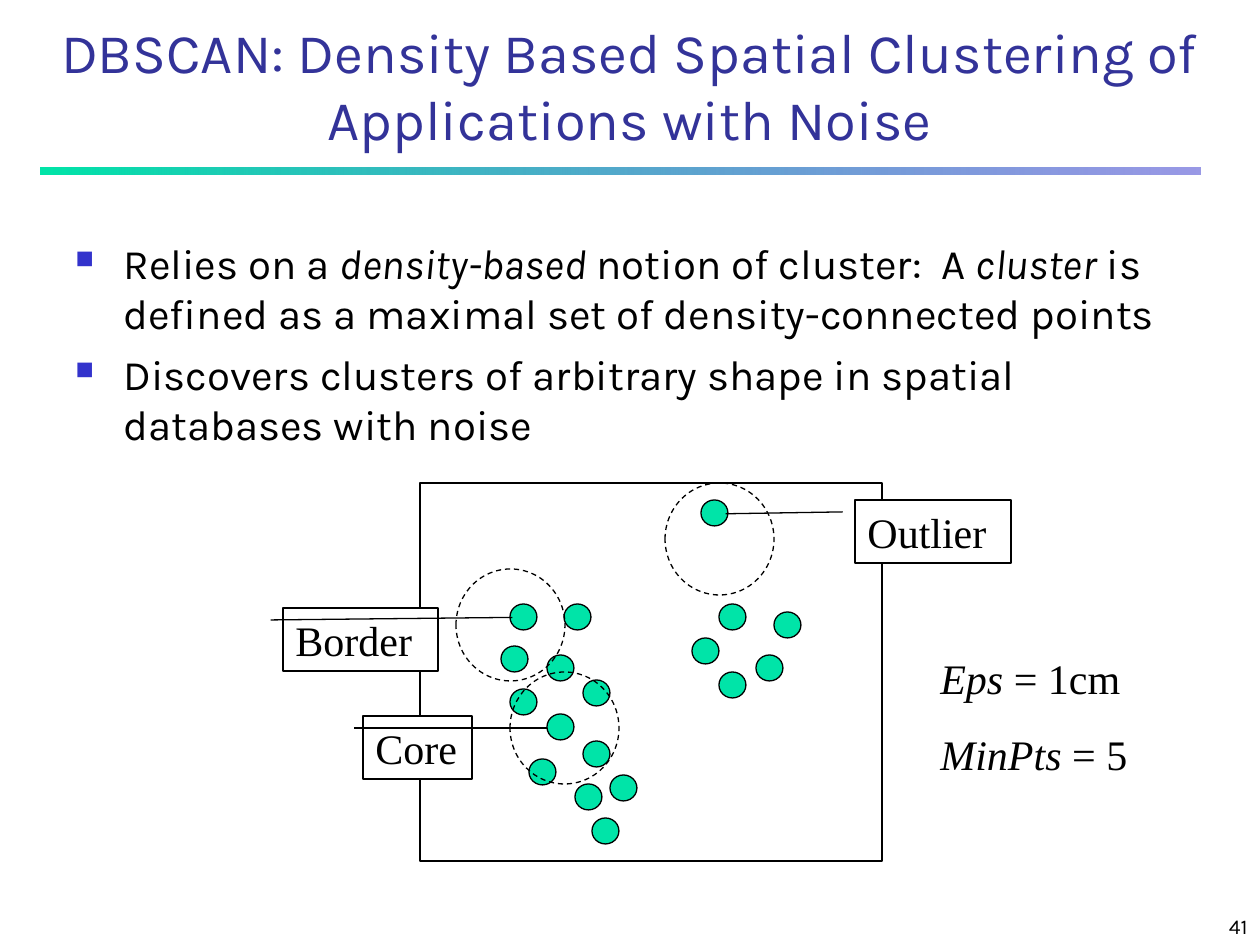
"""Build the DBSCAN slide with its diagram of core, border and outlier points."""
from typing import Any, NamedTuple, Optional

from lxml import etree
from pptx import Presentation
from pptx.dml.color import RGBColor
from pptx.enum.dml import MSO_LINE
from pptx.enum.shapes import MSO_SHAPE
from pptx.enum.text import MSO_ANCHOR, PP_ALIGN
from pptx.oxml.ns import qn
from pptx.util import Emu, Pt

RECTANGLE, OVAL, CALLOUT = MSO_SHAPE.RECTANGLE, MSO_SHAPE.OVAL, MSO_SHAPE.LINE_CALLOUT_1
DASH = MSO_LINE.DASH
TOP, BOTTOM = MSO_ANCHOR.TOP, MSO_ANCHOR.BOTTOM
LEFT, CENTER, RIGHT = PP_ALIGN.LEFT, PP_ALIGN.CENTER, PP_ALIGN.RIGHT

EMU_PER_PX = 914400 / 126
GREEN, BLUE, NAVY, BLACK, WHITE = "00E4A8", "3333CC", "333399", "000000", "FFFFFF"
SANS, SERIF = "Karla", "Times New Roman"


class Box(NamedTuple):
    left: int
    top: int
    width: int
    height: int


class Span(NamedTuple):
    text: str
    italic: bool = False


class Style(NamedTuple):
    font: str
    size: int
    color: str = BLACK
    align: Any = LEFT
    anchor: Any = TOP
    space_before: int = 0
    bullet: bool = False


class Callout(NamedTuple):
    label: str
    box: Box
    end_y: float
    end_x: float


TITLE_STYLE = Style(SANS, 32, NAVY, CENTER, BOTTOM)
BODY_STYLE = Style(SANS, 24, space_before=6, bullet=True)
LABEL_STYLE = Style(SERIF, 24)
PARAMETER_STYLE = Style(SERIF, 24, space_before=15)
NUMBER_STYLE = Style(SANS, 12, align=RIGHT, anchor=BOTTOM)

TITLE = [[Span("DBSCAN: Density Based Spatial Clustering of Applications with Noise")]]
BODY = [
    [Span("Relies on a "), Span("density-based", True), Span(" notion of cluster:  A "),
     Span("cluster", True),
     Span(" is defined as a maximal set of density-connected points")],
    [Span("Discovers clusters of arbitrary shape in spatial databases with noise")],
]
PARAMETERS = [[Span("Eps", True), Span(" = 1cm")], [Span("MinPts", True), Span(" = 5")]]

DOT_WIDTH, DOT_HEIGHT = 27, 26
DOTS = [
    (510, 604), (501, 646), (547, 655), (564, 604), (583, 680), (510, 689),
    (547, 714), (529, 759), (575, 784), (592, 818), (583, 741), (610, 775),
    (701, 500), (719, 604), (692, 638), (756, 655), (774, 612), (719, 672),
]
RADIUS_WIDTH, RADIUS_HEIGHT = 109, 112
NEIGHBORHOODS = [(456, 569), (510, 672), (665, 483)]
CALLOUTS = [
    Callout("Core", Box(363, 716, 109, 63), 0.19, 1.69),
    Callout("Border", Box(283, 608, 155, 63), 0.15, 1.48),
    Callout("Outlier", Box(855, 500, 156, 63), 0.22, -0.83),
]


def rgb(color: str) -> RGBColor:
    return RGBColor.from_string(color)


def px(length: int) -> Emu:
    return Emu(round(length * EMU_PER_PX))


def add_bullet(para: Any) -> None:
    properties = para._p.get_or_add_pPr()
    properties.set("marL", str(px(48)))
    properties.set("indent", str(px(-48)))
    color = etree.SubElement(properties, qn("a:buClr"))
    etree.SubElement(color, qn("a:srgbClr"), val=BLUE)
    etree.SubElement(properties, qn("a:buSzPct"), val="60000")
    etree.SubElement(properties, qn("a:buChar"), char="■")


def write(shape: Any, paragraphs: list[list[Span]], style: Style) -> None:
    frame = shape.text_frame
    frame.word_wrap = True
    frame.vertical_anchor = style.anchor
    for index, spans in enumerate(paragraphs):
        para = frame.add_paragraph() if index else frame.paragraphs[0]
        para.alignment = style.align
        para.space_before = Pt(style.space_before)
        if style.bullet:
            add_bullet(para)
        for span in spans:
            run = para.add_run()
            run.text = span.text
            formats = {"name": style.font, "size": Pt(style.size), "italic": span.italic}
            for name, value in formats.items():
                setattr(run.font, name, value)
            run.font.color.rgb = rgb(style.color)


def add_text(page: Any, box: Box, paragraphs: list[list[Span]], style: Style) -> None:
    write(page.shapes.add_textbox(*map(px, box)), paragraphs, style)


def add_figure(page: Any, kind: Any, box: Box, fill: Optional[str] = None,
               dash: Any = None) -> Any:
    shape = page.shapes.add_shape(kind, *map(px, box))
    shape.shadow.inherit = False
    if fill:
        shape.fill.solid()
        shape.fill.fore_color.rgb = rgb(fill)
    else:
        shape.fill.background()
    shape.line.color.rgb = rgb(BLACK)
    shape.line.width = Pt(0.75)
    if dash:
        shape.line.dash_style = dash
    return shape


def add_rule(page: Any, box: Box) -> None:
    rule = add_figure(page, RECTANGLE, box)
    rule.line.fill.background()
    rule.fill.gradient()
    rule.fill.gradient_angle = 180
    for stop, color in zip(rule.fill.gradient_stops, (BLUE, GREEN)):
        stop.color.rgb = rgb(color)
    first_color = next(rule._element.spPr.iter(qn("a:srgbClr")))
    etree.SubElement(first_color, qn("a:alpha"), val="50000")


def add_callout(page: Any, callout: Callout) -> None:
    shape = add_figure(page, CALLOUT, callout.box, WHITE)
    for index, value in enumerate((0.19, -0.08, callout.end_y, callout.end_x)):
        shape.adjustments[index] = value
    write(shape, [[Span(callout.label)]], LABEL_STYLE)


def main() -> None:
    deck = Presentation()
    deck.slide_width, deck.slide_height = px(1260), px(945)
    page = deck.slides.add_slide(deck.slide_layouts[6])
    add_rule(page, Box(41, 168, 1160, 7))
    add_text(page, Box(0, 0, 1260, 158), TITLE, TITLE_STYLE)
    add_text(page, Box(63, 231, 1144, 672), BODY, BODY_STYLE)
    for left, top in DOTS:
        add_figure(page, OVAL, Box(left, top, DOT_WIDTH, DOT_HEIGHT), GREEN)
    add_figure(page, RECTANGLE, Box(420, 483, 462, 378))
    for left, top in NEIGHBORHOODS:
        add_figure(page, OVAL, Box(left, top, RADIUS_WIDTH, RADIUS_HEIGHT), dash=DASH)
    for callout in CALLOUTS:
        add_callout(page, callout)
    add_text(page, Box(928, 646, 227, 140), PARAMETERS, PARAMETER_STYLE)
    add_text(page, Box(998, 892, 262, 53), [[Span("41")]], NUMBER_STYLE)
    deck.save("out.pptx")


if __name__ == "__main__":
    main()
